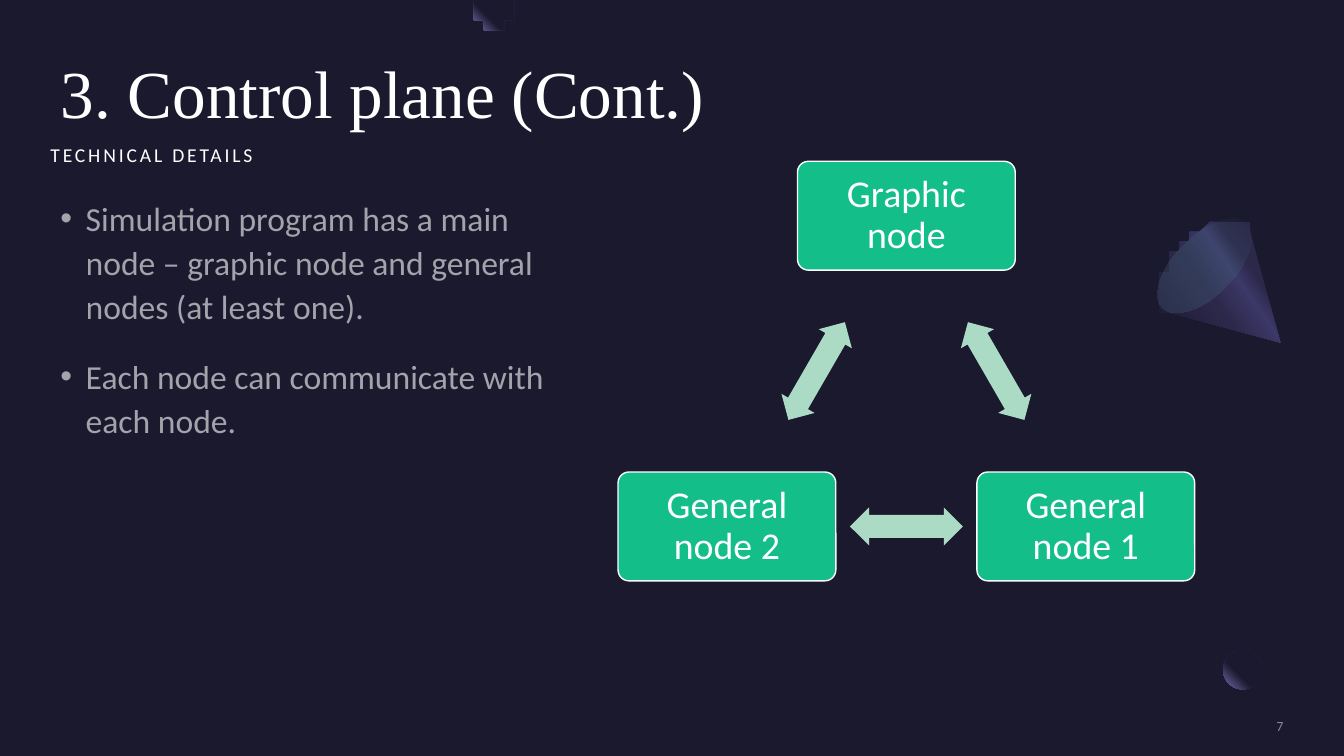
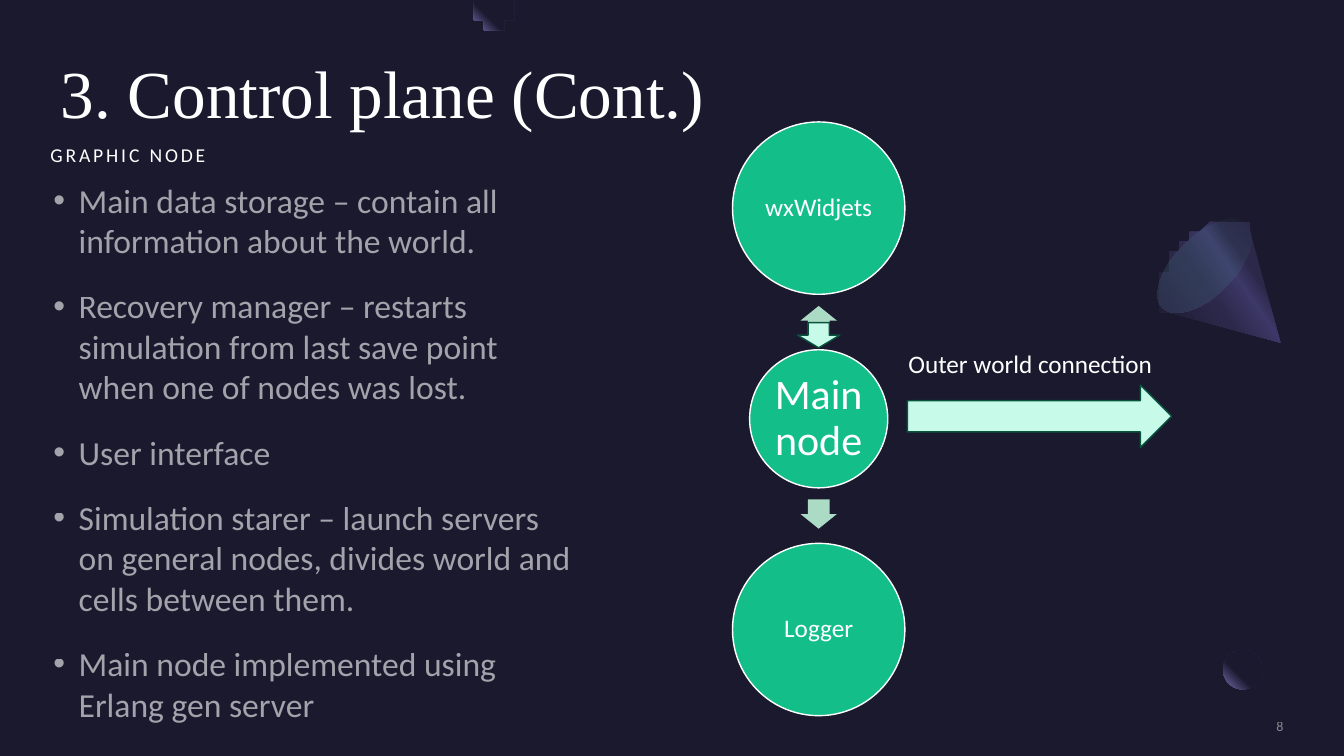
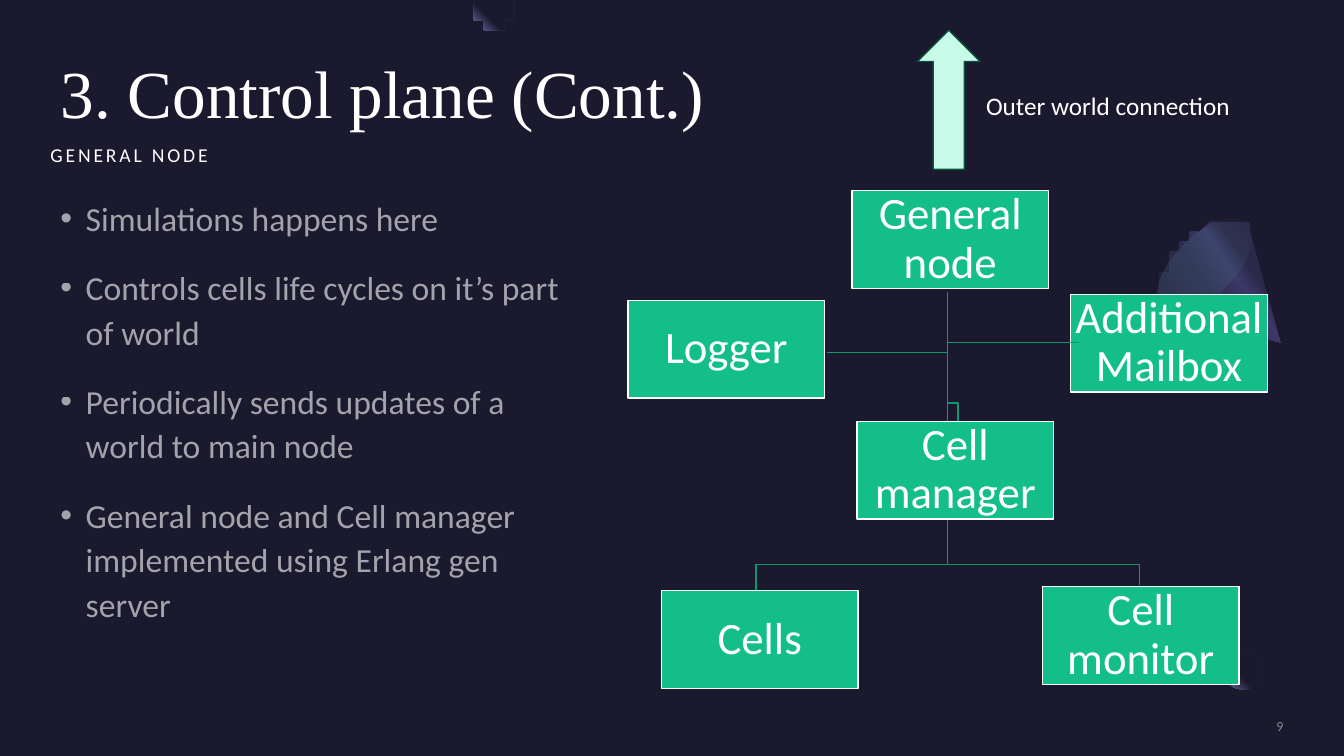
from dataclasses import dataclass
from math import cos, radians, sin

from pptx import Presentation
from pptx.dml.color import RGBColor
from pptx.enum.shapes import MSO_SHAPE
from pptx.enum.text import MSO_ANCHOR, MSO_AUTO_SIZE, PP_ALIGN
from pptx.oxml import parse_xml
from pptx.oxml.ns import nsdecls, qn
from pptx.oxml.xmlchemy import OxmlElement
from pptx.util import Emu, Inches, Pt

OVAL, RECT, ROUNDED = MSO_SHAPE.OVAL, MSO_SHAPE.RECTANGLE, MSO_SHAPE.ROUNDED_RECTANGLE
UP, DOWN, RIGHT = MSO_SHAPE.UP_ARROW, MSO_SHAPE.DOWN_ARROW, MSO_SHAPE.RIGHT_ARROW
TWO_WAY = MSO_SHAPE.LEFT_RIGHT_ARROW
TOP, MIDDLE, BOTTOM = MSO_ANCHOR.TOP, MSO_ANCHOR.MIDDLE, MSO_ANCHOR.BOTTOM
LEFT, CENTER, ALIGN_RIGHT = PP_ALIGN.LEFT, PP_ALIGN.CENTER, PP_ALIGN.RIGHT
NO_FIT = MSO_AUTO_SIZE.NONE

NIGHT = RGBColor(0x1B, 0x19, 0x2E)
WHITE = RGBColor(0xFF, 0xFF, 0xFF)
GREY = RGBColor(0xA6, 0xA6, 0xA6)
GREEN = RGBColor(0x13, 0xBE, 0x89)
SAGE = RGBColor(0xAB, 0xDB, 0xC4)
MINT = RGBColor(0xC8, 0xFA, 0xEA)
PINE = RGBColor(0x08, 0x53, 0x3C)
BRANCH = RGBColor(0x0F, 0x98, 0x6E)
LILAC = RGBColor(0x77, 0x71, 0xB2)
PLUM = RGBColor(0x2C, 0x28, 0x4A)
VIOLET = RGBColor(0x3C, 0x38, 0x67)
INDIGO = RGBColor(0x45, 0x40, 0x75)
AQUA = RGBColor(0x5B, 0xEF, 0xC1)

CELL = Inches(0.1)
HEADING_FONT, TEXT_FONT = "Times New Roman", "Calibri"
TWO_CONTENT_LAYOUT = 3
FIRST_NUMBER = 7
TITLE = "3. Control plane (Cont.)"
CORNER_GLOW = '<a:path path="circle"><a:fillToRect l="100000" b="100000"/></a:path>'


@dataclass(frozen=True)
class Box:
    col: float
    row: float
    cols: float
    rows: float

    def emu(self) -> list[Emu]:
        return [Emu(round(n * CELL)) for n in (self.col, self.row, self.cols, self.rows)]


@dataclass(frozen=True)
class Style:
    size: float
    color: RGBColor = WHITE
    font: str = TEXT_FONT
    align: PP_ALIGN = LEFT
    leading: float = 1.0
    before: float = 0
    after: float = 0
    opacity: int = 100
    tracking: float = 0


@dataclass(frozen=True)
class Stop:
    position: int
    color: RGBColor
    opacity: int = 100


@dataclass(frozen=True)
class Node:
    label: str
    box: Box
    size: float


@dataclass(frozen=True)
class Topic:
    heading: str
    points: tuple[str, ...]
    area: Box
    leading: float = 1.1


TOPICS = (
    Topic("TECHNICAL DETAILS", (
        "Simulation program has a main node – graphic node and general nodes (at least one).",
        "Each node can communicate with each node.",
    ), Box(6, 19.2, 52, 38.4)),
    Topic("GRAPHIC NODE", (
        "Main data storage – contain all information about the world.",
        "Recovery manager – restarts simulation from last save point when one of nodes was lost.",
        "User interface",
        "Simulation starer – launch servers on general nodes, divides world and cells between them.",
        "Main node implemented using Erlang gen server",
    ), Box(5.3, 17.8, 52, 55), 1.0),
    Topic("GENERAL NODE", (
        "Simulations happens here",
        "Controls cells life cycles on it’s part of world",
        "Periodically sends updates of a world to main node",
        "General node and Cell manager implemented using Erlang gen server",
    ), Box(6, 19.2, 52, 48)),
)


def set_opacity(element, percent: int) -> None:
    if percent < 100:
        for color in element.iter(qn("a:srgbClr")):
            alpha = OxmlElement("a:alpha")
            alpha.set("val", str(percent * 1000))
            color.append(alpha)


def set_gradient(shape, stops: tuple[Stop, ...], direction: str) -> None:
    marks = "".join(
        f'<a:gs pos="{s.position * 1000}"><a:srgbClr val="{s.color}">'
        f'<a:alpha val="{s.opacity * 1000}"/></a:srgbClr></a:gs>'
        for s in stops
    )
    shape.fill.background()
    blank = shape._element.spPr.find(qn("a:noFill"))
    blank.getparent().replace(blank, parse_xml(
        f'<a:gradFill {nsdecls("a")} rotWithShape="1"><a:gsLst>{marks}</a:gsLst>{direction}</a:gradFill>'
    ))


def set_frame(frame, margin: float, anchor: MSO_ANCHOR) -> None:
    frame.word_wrap = True
    frame.auto_size = NO_FIT
    frame.vertical_anchor = anchor
    frame.margin_left = frame.margin_right = Inches(margin)
    frame.margin_top = frame.margin_bottom = Inches(margin)


def set_bullet(paragraph, bullet: str) -> None:
    properties = paragraph._p.get_or_add_pPr()
    indent = Inches(0.25) if bullet else 0
    properties.set("marL", str(indent))
    properties.set("indent", str(-indent))
    mark = OxmlElement("a:buChar" if bullet else "a:buNone")
    if bullet:
        mark.set("char", bullet)
    properties.append(mark)


def style_paragraph(paragraph, style: Style) -> None:
    paragraph.alignment = style.align
    paragraph.line_spacing = style.leading
    paragraph.space_before = Pt(style.before)
    paragraph.space_after = Pt(style.after)
    font = paragraph.font
    font.name, font.size = style.font, Pt(style.size)
    font.color.rgb = style.color
    set_opacity(paragraph._p, style.opacity)
    if style.tracking:
        font._element.set("spc", str(round(style.tracking * 100)))


def fill_placeholder(holder, box: Box, lines: tuple[str, ...], style: Style,
                     anchor: MSO_ANCHOR = TOP, bullet: str = "") -> None:
    holder.left, holder.top, holder.width, holder.height = box.emu()
    frame = holder.text_frame
    set_frame(frame, 0, anchor)
    frame.text = "\n".join(lines)
    for paragraph in frame.paragraphs:
        set_bullet(paragraph, bullet)
        style_paragraph(paragraph, style)


def add_label(slide, text: str, box: Box, style: Style, margin: float, anchor: MSO_ANCHOR) -> None:
    frame = slide.shapes.add_textbox(*box.emu()).text_frame
    set_frame(frame, margin, anchor)
    frame.text = text
    style_paragraph(frame.paragraphs[0], style)


def add_figure(slide, kind: MSO_SHAPE, box: Box, fill: RGBColor | None = None,
               outline: RGBColor | None = None, turn: float = 0,
               adjust: tuple[float, ...] = ()):
    figure = slide.shapes.add_shape(kind, *box.emu())
    figure.shadow.inherit = False
    figure.rotation = turn
    for index, value in enumerate(adjust):
        figure.adjustments[index] = value
    if fill is not None:
        figure.fill.solid()
        figure.fill.fore_color.rgb = fill
    if outline is None:
        figure.line.fill.background()
    else:
        figure.line.color.rgb = outline
        figure.line.width = Pt(1)
    return figure


def add_outline(slide, points: list[tuple[float, float]], closed: bool):
    builder = slide.shapes.build_freeform(*points[0], scale=float(CELL))
    builder.add_line_segments(points[1:], close=closed)
    outline = builder.convert_to_shape()
    outline.shadow.inherit = False
    return outline


def add_branch(slide, *points: tuple[float, float]) -> None:
    branch = add_outline(slide, list(points), False)
    branch.fill.background()
    branch.line.color.rgb = BRANCH
    branch.line.width = Pt(1)


def add_node(slide, kind: MSO_SHAPE, node: Node, margin: float, adjust: tuple[float, ...] = ()) -> None:
    figure = add_figure(slide, kind, node.box, GREEN, WHITE, adjust=adjust)
    set_frame(figure.text_frame, margin, MIDDLE)
    figure.text_frame.text = node.label
    style_paragraph(figure.text_frame.paragraphs[0], Style(node.size, align=CENTER, leading=0.9))


def arc(cx: float, cy: float, rx: float, ry: float, tilt: float,
        start: int, end: int) -> list[tuple[float, float]]:
    steps, lean = 48, radians(tilt)
    points = []
    for step in range(steps + 1):
        angle = radians(start + (end - start) * step / steps)
        along, across = rx * cos(angle), ry * sin(angle)
        points.append((cx + along * cos(lean) - across * sin(lean),
                       cy + along * sin(lean) + across * cos(lean)))
    return points


def add_decor(slide) -> None:
    glow = (Stop(60, NIGHT), Stop(100, LILAC))
    set_gradient(add_figure(slide, OVAL, Box(121.3, 64.5, 3.9, 3.9)), glow, CORNER_GLOW)
    veil = add_figure(slide, RECT, Box(125.2, 63.7, 4.1, 3.9), NIGHT)
    set_opacity(veil._element.spPr, 80)

    cone = add_outline(slide, [(127.1, 34)] + arc(119.45, 26.3, 5.9, 2.95, -45, 12, -192), True)
    cone.line.fill.background()
    set_gradient(cone, (Stop(30, PLUM), Stop(40, VIOLET), Stop(60, PLUM), Stop(100, NIGHT)),
                 f'<a:lin ang="{145 * 60000}" scaled="0"/>')
    cone_base = add_figure(slide, OVAL, Box(116.5, 20.4, 5.9, 11.8), turn=225)
    set_gradient(cone_base, (Stop(0, INDIGO, 33), Stop(100, AQUA, 0)),
                 f'<a:lin ang="{90 * 60000}" scaled="0"/>')

    top_moon = add_outline(slide, arc(48.9, 1, 1.95, 1.95, 0, -30, 210), True)
    top_moon.line.fill.background()
    set_gradient(top_moon, glow, CORNER_GLOW)


def add_topic_slide(deck, topic: Topic, number: int):
    slide = deck.slides.add_slide(deck.slide_layouts[TWO_CONTENT_LAYOUT])
    heading, points = slide.placeholders[1], slide.placeholders[2]
    fill_placeholder(slide.shapes.title, Box(6, 6, 121.4, 8.5), (TITLE,),
                     Style(48, font=HEADING_FONT, leading=0.9))
    fill_placeholder(heading, Box(5, 13.6, 59.5, 2.9), (topic.heading,),
                     Style(14, leading=1.1, before=10, after=8, tracking=2), BOTTOM)
    fill_placeholder(points, topic.area, topic.points,
                     Style(24, leading=topic.leading, before=10, after=8, opacity=60), bullet="•")
    add_decor(slide)
    add_label(slide, str(number), Box(108.8, 71.2, 18.5, 1.7),
              Style(10, GREY, align=ALIGN_RIGHT, opacity=80), 0, MIDDLE)
    return slide


def add_outer_link(slide, kind: MSO_SHAPE, arrow: Box, col: float, row: float) -> None:
    add_figure(slide, kind, arrow, MINT, PINE)
    add_label(slide, "Outer world connection", Box(col, row, 32.8, 4), Style(18), 0.05, MIDDLE)


def draw_node_ring(slide) -> None:
    cx, cy, radius = 89.9, 41.95, 20.55
    width, height, length, thickness = 21.6, 10.8, 11.2, 3.8
    for index, label in enumerate(("Graphic node", "General node 1", "General node 2")):
        angle = radians(120 * index - 90)
        box = Box(cx + radius * cos(angle) - width / 2, cy + radius * sin(angle) - height / 2, width, height)
        add_node(slide, ROUNDED, Node(label, box, 27), 0.11, (0.1,))
        side = angle + radians(60)
        link = Box(cx + radius / 2 * cos(side) - length / 2, cy + radius / 2 * sin(side) - thickness / 2,
                   length, thickness)
        add_figure(slide, TWO_WAY, link, SAGE, turn=60 + 120 * index, adjust=(0.6, 0.5))


def draw_graphic_node(slide) -> None:
    axis = 81.2
    for label, row, diameter, size in (("Main node", 34.7, 13.7, 30), ("wxWidjets", 12.1, 17.1, 18),
                                       ("Logger", 53.9, 17.1, 18)):
        add_node(slide, OVAL, Node(label, Box(axis - diameter / 2, row, diameter, diameter), size), 0.03)
    for kind, row in ((UP, 30.35), (DOWN, 49.55)):
        add_figure(slide, kind, Box(axis - 1.8, row, 3.6, 2.9), SAGE, adjust=(0.6, 0.5))
    add_figure(slide, DOWN, Box(axis - 2.1, 32, 4.2, 2.5), MINT, PINE)
    add_outer_link(slide, RIGHT, Box(90, 38.2, 26.2, 6.2), 89.6, 34.1)


def draw_general_node(slide) -> None:
    add_outer_link(slide, UP, Box(91, 3, 6.2, 13.8), 97.3, 8.5)
    trunk, root, drop = 94.3, 28.6, 2.1
    add_branch(slide, (trunk, root), (trunk, 34.7), (81.8, 34.7))
    for col, row in ((113.2, 58.2), (94.7, 41.8), (75.3, 58.6)):
        add_branch(slide, (trunk, root), (trunk, row - drop), (col, row - drop), (col, row))
    for label, col, row in (("General node", 84.5, 18.9), ("Cells", 65.6, 58.6),
                            ("Cell manager", 85, 41.8), ("Cell monitor", 103.4, 58.2),
                            ("Logger", 62.3, 29.8), ("Additional Mailbox", 106.2, 29.2)):
        add_node(slide, RECT, Node(label, Box(col, row, 19.5, 9.7), 32), 0.02)
    add_branch(slide, (94.1, 40.5), (94.1, 34.5), (106.6, 34.5))


def main() -> None:
    deck = Presentation()
    deck.slide_width, deck.slide_height = Inches(13.33), Inches(7.5)
    backdrop = deck.slide_master.background.fill
    backdrop.solid()
    backdrop.fore_color.rgb = NIGHT
    diagrams = (draw_node_ring, draw_graphic_node, draw_general_node)
    for number, (topic, draw_diagram) in enumerate(zip(TOPICS, diagrams), FIRST_NUMBER):
        draw_diagram(add_topic_slide(deck, topic, number))
    deck.save("out.pptx")


if __name__ == "__main__":
    main()
